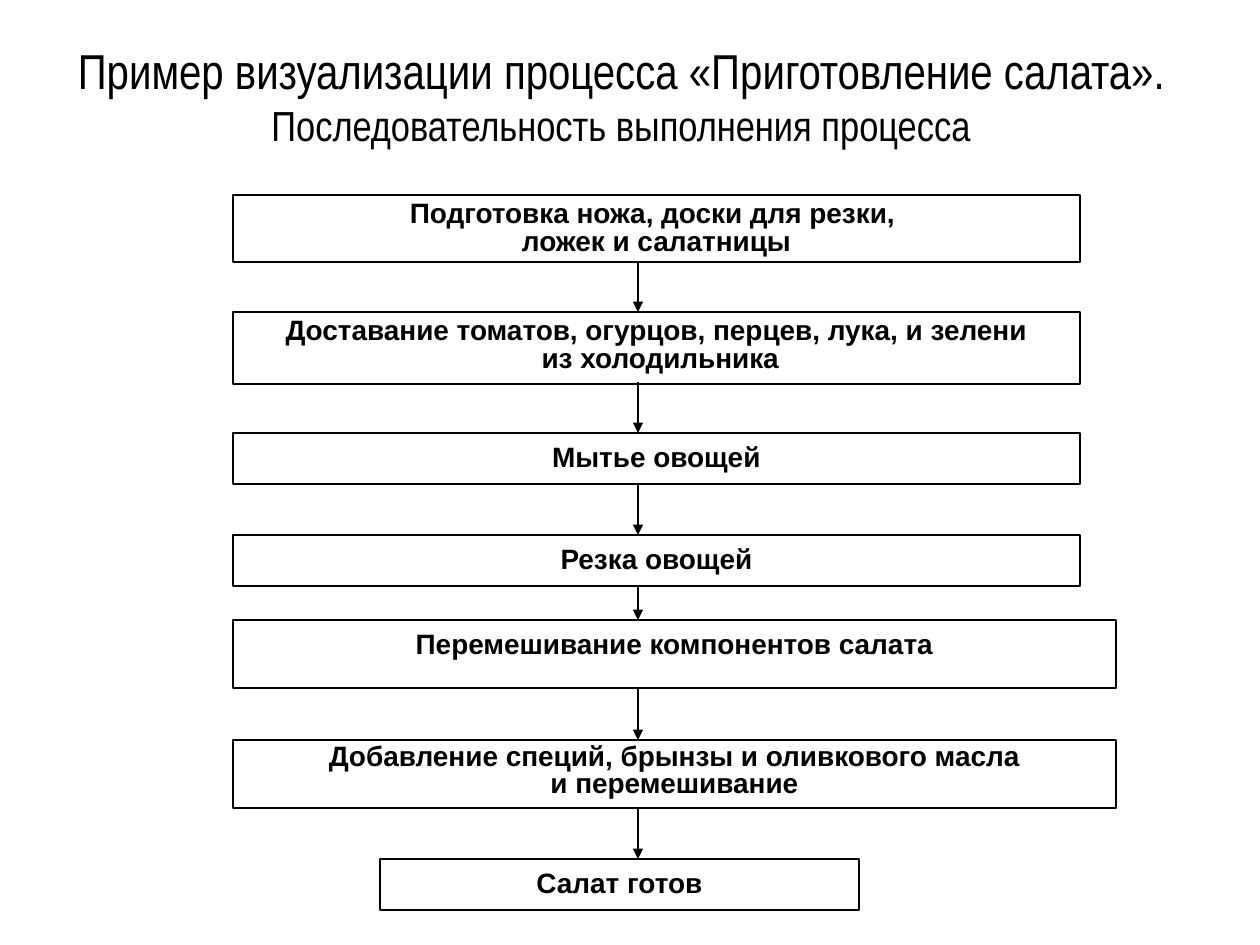
from lxml.etree import SubElement
from pptx import Presentation
from pptx.dml.color import RGBColor
from pptx.enum.shapes import MSO_CONNECTOR, MSO_SHAPE
from pptx.enum.text import MSO_ANCHOR, PP_ALIGN
from pptx.oxml.ns import qn
from pptx.util import Emu, Pt

BLACK = RGBColor(0x00, 0x00, 0x00)
WHITE = RGBColor(0xFF, 0xFF, 0xFF)
PX_PER_INCH = 126

LEFT, ARROW_X = 233, 638
WIDE, WIDER = 847, 883

# left, top, width, height, line spacing in points, length of arrow above, lines
STEPS = [
    (LEFT, 195, WIDE, 67, 16, 0,
     "Подготовка ножа, доски для резки, \nложек и салатницы"),
    (LEFT, 312, WIDE, 72, 16, 51,
     "Доставание томатов, огурцов, перцев, лука, и зелени\n из холодильника"),
    (LEFT, 433, WIDE, 51, None, 51, "Мытье овощей"),
    (LEFT, 535, WIDE, 51, None, 51, "Резка овощей"),
    (LEFT, 620, WIDER, 68, None, 34, "Перемешивание компонентов салата"),
    (LEFT, 740, WIDER, 68, 15, 51,
     "Добавление специй, брынзы и оливкового масла\nи перемешивание"),
    (380, 859, 479, 51, None, 51, "Салат готов"),
]


def px(n):
    return Emu(round(n * 914400 / PX_PER_INCH))


class FlowSlide:
    """Style of the flow chart and the slide it is drawn on."""
    font, title_font = "Arial", "Arial Narrow"
    size = 16
    line_width = Pt(0.75)

    def __init__(self, prs):
        self.s = prs.slides.add_slide(prs.slide_layouts[6])

    def title(self, x, y, w, h, lines, sizes):
        tf = self.s.shapes.add_textbox(px(x), px(y), px(w), px(h)).text_frame
        tf.word_wrap = True
        tf.vertical_anchor = MSO_ANCHOR.MIDDLE
        p = tf.paragraphs[0]
        p.text = "\v".join(lines)
        p.alignment = PP_ALIGN.CENTER
        for r, size in zip(p.runs, sizes):
            self.style(r.font, self.title_font, size)

    def step(self, x, y, w, h, text, spacing):
        sp = self.s.shapes.add_shape(MSO_SHAPE.RECTANGLE, px(x), px(y), px(w), px(h))
        sp.shadow.inherit = False
        sp.fill.solid()
        sp.fill.fore_color.rgb = WHITE
        self.outline(sp.line)
        tf = sp.text_frame
        tf.word_wrap = True
        tf.vertical_anchor = MSO_ANCHOR.TOP
        tf.text = text
        for p in tf.paragraphs:
            p.alignment = PP_ALIGN.CENTER
            if spacing:
                p.line_spacing = Pt(spacing)
            for r in p.runs:
                self.style(r.font, self.font, self.size, True)

    def arrow_down(self, x, y1, y2):
        c = self.s.shapes.add_connector(MSO_CONNECTOR.STRAIGHT, px(x), px(y1), px(x), px(y2))
        self.outline(c.line)
        SubElement(c.line._get_or_add_ln(), qn("a:tailEnd"), type="triangle")
        SubElement(c._element.spPr, qn("a:effectLst"))

    def outline(self, line):
        line.color.rgb = BLACK
        line.width = self.line_width

    def style(self, font, name, size, bold=False):
        font.name = name
        font.size = Pt(size)
        font.bold = bold
        font.color.rgb = BLACK


def main():
    prs = Presentation()
    prs.slide_width, prs.slide_height = px(1260), px(945)
    flow = FlowSlide(prs)
    flow.title(54, 35, 1134, 120,
               ["Пример визуализации процесса «Приготовление салата».",
                "Последовательность выполнения процесса"], (28, 24))
    for x, y, w, h, spacing, _, text in STEPS:
        flow.step(x, y, w, h, text, spacing)
    for _, y, _, _, _, length, _ in STEPS[1:]:
        flow.arrow_down(ARROW_X, y - length, y)
    prs.save("out.pptx")


if __name__ == "__main__":
    main()
